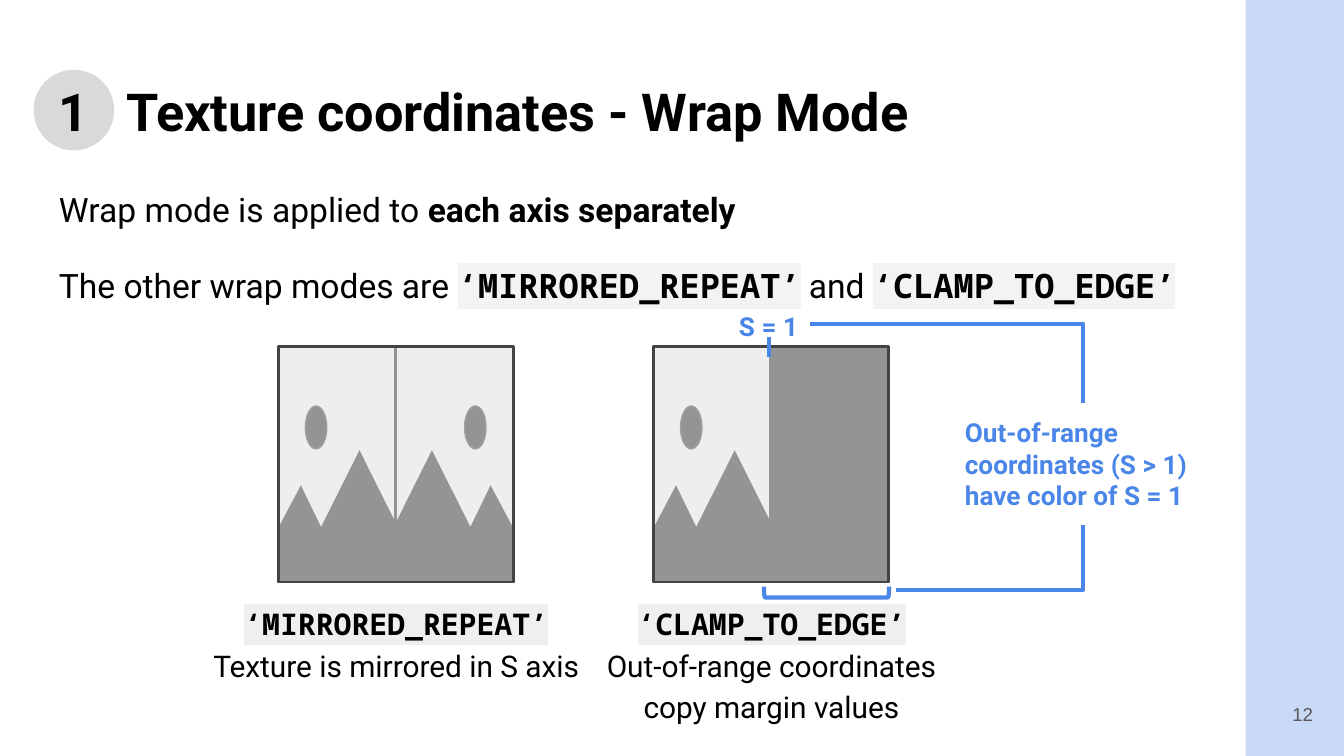
"""Build the slide about texture coordinate wrap modes."""
from dataclasses import dataclass

from pptx import Presentation
from pptx.dml.color import RGBColor
from pptx.enum.shapes import MSO_CONNECTOR, MSO_SHAPE
from pptx.enum.text import MSO_ANCHOR, PP_ALIGN
from pptx.oxml.ns import qn
from pptx.oxml.xmlchemy import OxmlElement
from pptx.util import Pt


@dataclass(frozen=True)
class Theme:
    ink: str = "000000"
    accent: str = "4A86E8"
    sidebar: str = "C9DAF8"
    badge: str = "D9D9D9"
    light: str = "EEEEEE"
    dark: str = "434343"
    muted: str = "595959"
    body_highlight: str = "F3F3F3"
    caption_highlight: str = "EFEFEF"
    sans: str = "Roboto"
    mono: str = "Noto Sans Mono"
    number_font: str = "Arial"
    title_size: int = 28
    body_size: int = 18
    caption_size: int = 16
    note_size: int = 14
    number_size: int = 10


theme = Theme()


def paint(shape, fill=None, line=None, width=1.5):
    shape.shadow.inherit = False
    if fill:
        shape.fill.solid()
        shape.fill.fore_color.rgb = RGBColor.from_string(fill)
    else:
        shape.fill.background()
    if line:
        shape.line.color.rgb = RGBColor.from_string(line)
        shape.line.width = Pt(width)
    else:
        shape.line.fill.background()


def add_text(box, paragraphs, size, color=theme.ink, font=theme.sans,
             align=PP_ALIGN.LEFT, anchor=MSO_ANCHOR.TOP):
    text_frame = slide.shapes.add_textbox(*map(Pt, box)).text_frame
    text_frame.word_wrap = True
    text_frame.vertical_anchor = anchor
    text_frame.margin_left = text_frame.margin_right = Pt(7.2)
    text_frame.margin_top = text_frame.margin_bottom = Pt(7.2)
    for index, ((spacing, before, after), runs) in enumerate(paragraphs):
        paragraph = text_frame.add_paragraph() if index else text_frame.paragraphs[0]
        paragraph.alignment = align
        paragraph.line_spacing = spacing
        paragraph.space_before, paragraph.space_after = Pt(before), Pt(after)
        for text, bold, highlight in runs:
            run = paragraph.add_run()
            run.text = text
            run.font.size = Pt(size)
            run.font.bold = bold
            run.font.color.rgb = RGBColor.from_string(color)
            if highlight:
                marker = OxmlElement("a:highlight")
                marker_color = OxmlElement("a:srgbClr")
                marker_color.set("val", highlight)
                marker.append(marker_color)
                run._r.get_or_add_rPr().append(marker)
            run.font.name = theme.mono if highlight else font


presentation = Presentation()
presentation.slide_width, presentation.slide_height = Pt(720), Pt(405)
slide = presentation.slides.add_slide(presentation.slide_layouts[6])

for preset, box, fill in (
    (MSO_SHAPE.RECTANGLE, (667.3, -1, 52.7, 406), theme.sidebar),
    (MSO_SHAPE.OVAL, (18, 37.4, 43.2, 43.2), theme.badge),
):
    paint(slide.shapes.add_shape(preset, *map(Pt, box)), fill)

plain = (1, 0, 0)
add_text((24.5, 35.3, 671, 45.4),
         [(plain, [("1\tTexture coordinates - Wrap Mode", True, None)])],
         theme.title_size)
add_text((667.3, 367.2, 43.2, 31), [(plain, [("12", False, None)])],
         theme.number_size, theme.muted, theme.number_font,
         PP_ALIGN.RIGHT, MSO_ANCHOR.MIDDLE)
add_text((24.5, 90.7, 625.7, 65.5), [
    ((1.15, 0, 0), [("Wrap mode is applied to ", False, None),
                    ("each axis separately", True, None)]),
    ((1.15, 16, 16), [("The other wrap modes are ", False, None),
                      ("‘MIRRORED_REPEAT’", True, theme.body_highlight),
                      (" and ", False, None),
                      ("‘CLAMP_TO_EDGE’", True, theme.body_highlight)]),
], theme.body_size)

top, side = 185.8, 126
half = side / 2
sun_left, sun_top, sun_width, sun_height = 14.6, 31.7, 11.5, 23
mountains = [(0, 97.2), (12.2, 74.2), (23, 96.5), (43.6, 55.4),
             (half, 94.3), (half, side), (0, side)]

for left, mirrored, mode, description in (
    (149, True, "‘MIRRORED_REPEAT’", "Texture is mirrored in S axis"),
    (350, False, "‘CLAMP_TO_EDGE’", "Out-of-range coordinates copy margin values"),
):
    shapes = slide.shapes.add_group_shape().shapes
    for flipped in (False, True):
        panel = shapes.add_shape(MSO_SHAPE.RECTANGLE, Pt(left + half * flipped),
                                 Pt(top), Pt(half), Pt(side))
        clamped = flipped and not mirrored
        paint(panel, theme.dark if clamped else theme.light, theme.dark)
        if clamped:
            continue
        points = [(Pt(left + (side - x if flipped else x)), Pt(top + y))
                  for x, y in mountains]
        builder = shapes.build_freeform(*points[0])
        builder.add_line_segments(points[1:], close=True)
        paint(builder.convert_to_shape(), theme.dark)
        sun_x = side - sun_left - sun_width if flipped else sun_left
        sun = shapes.add_shape(MSO_SHAPE.OVAL, Pt(left + sun_x), Pt(top + sun_top),
                               Pt(sun_width), Pt(sun_height))
        paint(sun, theme.dark, theme.muted, 0.75)
    veil = shapes.add_shape(MSO_SHAPE.RECTANGLE, Pt(left), Pt(top), Pt(side), Pt(side))
    paint(veil, theme.light, theme.dark)
    alpha = OxmlElement("a:alpha")
    alpha.set("val", "48000")
    veil.element.spPr.find(qn("a:solidFill"))[0].append(alpha)
    add_text((left - 50.4, 317.5, 227.5, 43.2), [
        (plain, [(mode, True, theme.caption_highlight)]),
        ((1.15, 0, 16), [(description, False, None)]),
    ], theme.caption_size, align=PP_ALIGN.CENTER)

bracket = slide.shapes.add_shape(MSO_SHAPE.LEFT_BRACKET, Pt(439.9), Pt(283.7),
                                 Pt(5.8), Pt(67))
bracket.rotation = 270
paint(bracket, line=theme.accent, width=2.25)

for box, note in (
    ((388.8, 159.1, 51.1, 23.8), "S = 1"),
    ((509.8, 216, 140.4, 65.5), "Out-of-range coordinates (S > 1) have color of S = 1"),
):
    add_text(box, [(plain, [(note, True, None)])], theme.note_size, theme.accent)

for kind, ends in (
    (MSO_CONNECTOR.STRAIGHT, (412, 191.5, 412, 180.7)),
    (MSO_CONNECTOR.ELBOW, (480.2, 316, 580.2, 281.5)),
    (MSO_CONNECTOR.ELBOW, (433.7, 173.4, 580.2, 216)),
):
    connector = slide.shapes.add_connector(kind, *map(Pt, ends))
    connector.line.color.rgb = RGBColor.from_string(theme.accent)
    connector.line.width = Pt(2.25)
    properties = connector.element.spPr
    properties.append(OxmlElement("a:effectLst"))
    if kind == MSO_CONNECTOR.ELBOW:
        properties.find(qn("a:prstGeom")).set("prst", "bentConnector2")

presentation.save("out.pptx")
